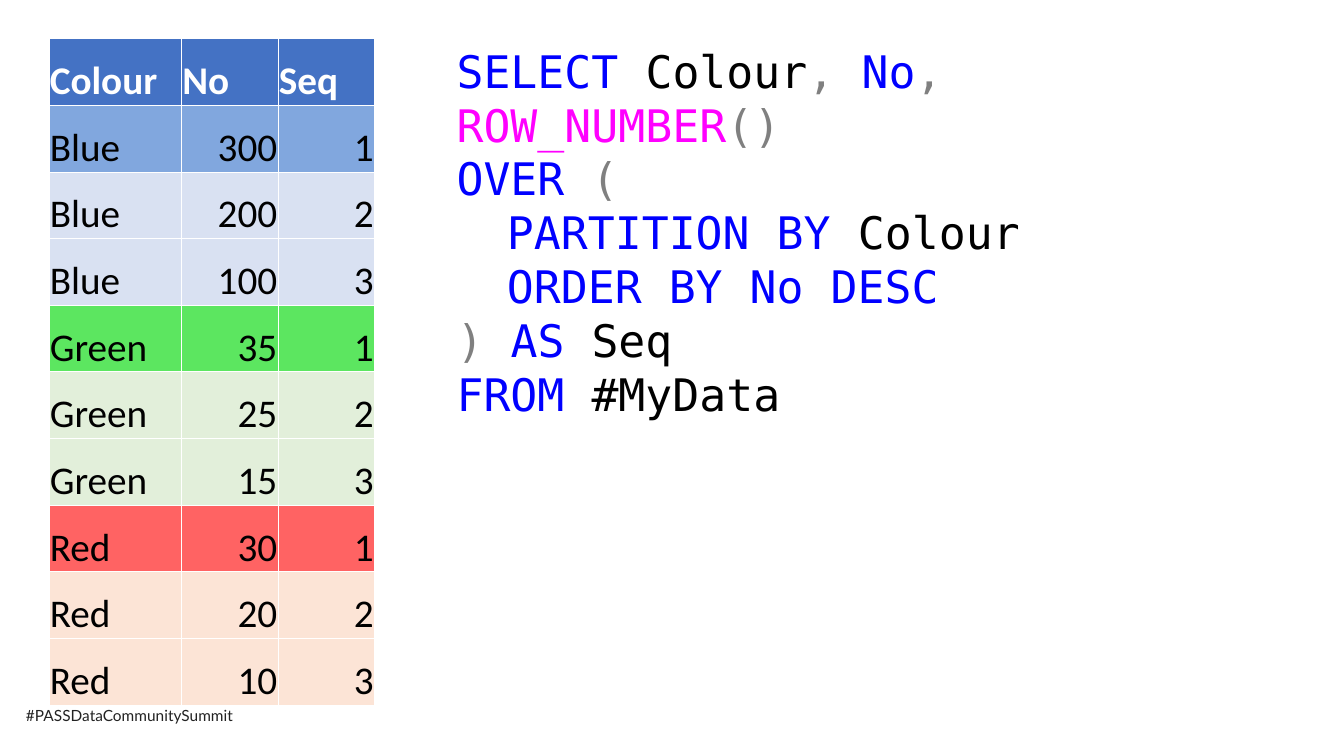
from dataclasses import dataclass

from lxml.etree import SubElement
from pptx import Presentation
from pptx.dml.color import RGBColor
from pptx.enum.text import MSO_ANCHOR, PP_ALIGN
from pptx.oxml.ns import qn
from pptx.slide import Slide
from pptx.table import _Cell
from pptx.text.text import Font
from pptx.util import Pt


@dataclass(frozen=True)
class Theme:
    table_font: str = "Calibri"
    code_font: str = "DejaVu Sans Mono"
    hashtag_font: str = "Lato"
    table_size: float = 28
    code_size: float = 32
    code_leading: float = 38.4
    hashtag_size: float = 11
    header: str = "4472C4"
    border: str = "FFFFFF"
    header_text: str = "FFFFFF"
    text: str = "000000"
    hashtag: str = "222222"
    keyword: str = "0000FF"
    function: str = "FF00FF"
    punctuation: str = "808080"


@dataclass(frozen=True)
class Partition:
    colour: str
    numbers: tuple[int, ...]
    first_fill: str
    other_fill: str


@dataclass(frozen=True)
class Token:
    text: str
    color: str


THEME = Theme()
HEADINGS = ("Colour", "No", "Seq")
COLUMN_WIDTHS = (94.6, 69, 69)
ROW_HEIGHT = 47.6
PARTITIONS = (
    Partition("Blue", (300, 200, 100), "81A7DE", "D9E1F2"),
    Partition("Green", (35, 25, 15), "5CE660", "E2EFDA"),
    Partition("Red", (30, 20, 10), "FF6363", "FCE4D6"),
)


def keyword(text: str) -> Token:
    return Token(text, THEME.keyword)


def name(text: str) -> Token:
    return Token(text, THEME.text)


def mark(text: str) -> Token:
    return Token(text, THEME.punctuation)


QUERY = (
    (keyword("SELECT"), name(" Colour"), mark(", "), keyword("No"), mark(",")),
    (Token("ROW_NUMBER", THEME.function), mark("()")),
    (keyword("OVER "), mark("(")),
    (keyword("\tPARTITION BY "), name("Colour")),
    (keyword("\tORDER BY No DESC"),),
    (mark(") "), keyword("AS"), name(" Seq")),
    (keyword("FROM"), name(" #MyData")),
)


def style(font: Font, face: str, size: float, color: str, bold: bool = False) -> None:
    font.name = face
    font.size = Pt(size)
    font.bold = bold
    font.color.rgb = RGBColor.from_string(color)


def add_borders(cell: _Cell) -> None:
    """Line all four sides; the lines must precede the fill in the cell properties."""
    properties = cell._tc.get_or_add_tcPr()
    for index, side in enumerate(("a:lnL", "a:lnR", "a:lnT", "a:lnB")):
        line = SubElement(properties, qn(side), w=str(Pt(0.5)))
        fill = SubElement(line, qn("a:solidFill"))
        SubElement(fill, qn("a:srgbClr"), val=THEME.border)
        properties.insert(index, line)


def fill_cell(cell: _Cell, text: str, fill: str, color: str,
              align: PP_ALIGN, bold: bool = False) -> None:
    cell.fill.solid()
    cell.fill.fore_color.rgb = RGBColor.from_string(fill)
    cell.vertical_anchor = MSO_ANCHOR.BOTTOM
    cell.margin_left = cell.margin_right = cell.margin_top = Pt(0.6)
    cell.margin_bottom = Pt(0)
    add_borders(cell)
    cell.text_frame.text = text
    paragraph = cell.text_frame.paragraphs[0]
    paragraph.alignment = align
    style(paragraph.runs[0].font, THEME.table_font, THEME.table_size, color, bold)


def add_sequence_table(slide: Slide) -> None:
    records = [
        (partition.colour, number, seq,
         partition.first_fill if seq == 1 else partition.other_fill)
        for partition in PARTITIONS
        for seq, number in enumerate(partition.numbers, start=1)
    ]
    row_count = len(records) + 1
    table = slide.shapes.add_table(
        row_count, len(HEADINGS), Pt(35), Pt(27.6),
        Pt(sum(COLUMN_WIDTHS)), Pt(ROW_HEIGHT * row_count)).table
    for column, width in zip(table.columns, COLUMN_WIDTHS):
        column.width = Pt(width)
    for row in table.rows:
        row.height = Pt(ROW_HEIGHT)
    for column, heading in enumerate(HEADINGS):
        fill_cell(table.cell(0, column), heading, THEME.header,
                  THEME.header_text, PP_ALIGN.LEFT, bold=True)
    for row, (*values, fill) in enumerate(records, start=1):
        for column, value in enumerate(values):
            align = PP_ALIGN.RIGHT if column else PP_ALIGN.LEFT
            fill_cell(table.cell(row, column), str(value), fill, THEME.text, align)


def add_query(slide: Slide) -> None:
    code = slide.shapes.add_textbox(Pt(319), Pt(27.6), Pt(480), Pt(278.6)).text_frame
    code.word_wrap = True
    for index, tokens in enumerate(QUERY):
        line = code.add_paragraph() if index else code.paragraphs[0]
        line.line_spacing = Pt(THEME.code_leading)
        for token in tokens:
            run = line.add_run()
            run.text = token.text
            style(run.font, THEME.code_font, THEME.code_size, token.color)


def add_hashtag(slide: Slide) -> None:
    hashtag = slide.shapes.add_textbox(Pt(11.5), Pt(501), Pt(168.5), Pt(20.6)).text_frame
    hashtag.word_wrap = False
    hashtag.text = "#PASSDataCommunitySummit"
    style(hashtag.paragraphs[0].runs[0].font, THEME.hashtag_font,
          THEME.hashtag_size, THEME.hashtag)


def main() -> None:
    presentation = Presentation()
    presentation.slide_width = Pt(960)
    presentation.slide_height = Pt(540)
    slide = presentation.slides.add_slide(presentation.slide_layouts[6])
    add_hashtag(slide)
    add_sequence_table(slide)
    add_query(slide)
    presentation.save("out.pptx")


if __name__ == "__main__":
    main()
